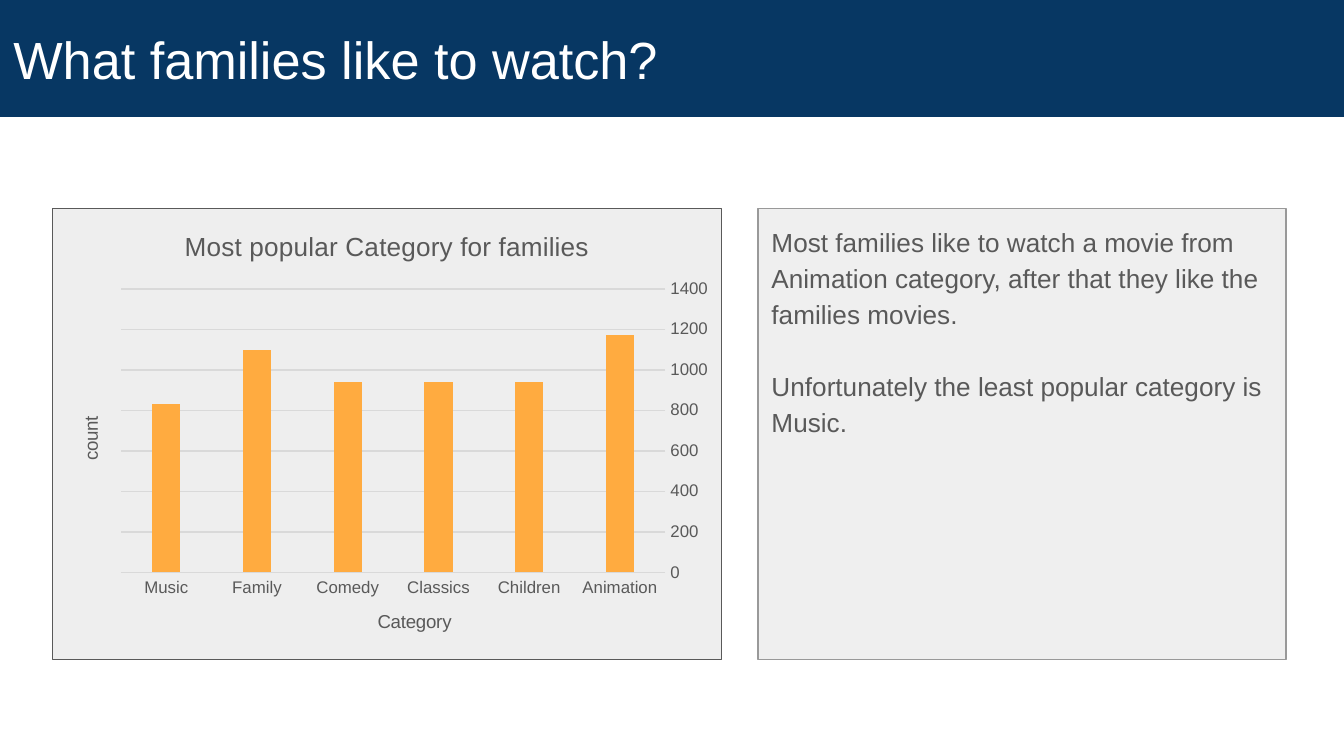
from lxml import etree
from pptx import Presentation
from pptx.chart.data import CategoryChartData
from pptx.dml.color import RGBColor
from pptx.enum.chart import XL_CHART_TYPE, XL_TICK_MARK
from pptx.enum.shapes import MSO_SHAPE
from pptx.enum.text import MSO_ANCHOR, MSO_AUTO_SIZE, PP_ALIGN
from pptx.oxml.ns import qn
from pptx.util import Inches, Pt

COLUMNS = XL_CHART_TYPE.COLUMN_CLUSTERED
NO_TICK = XL_TICK_MARK.NONE
RECTANGLE = MSO_SHAPE.RECTANGLE
TOP, MIDDLE = MSO_ANCHOR.TOP, MSO_ANCHOR.MIDDLE
NO_FIT = MSO_AUTO_SIZE.NONE
LEFT = PP_ALIGN.LEFT

FONT = "Arial"
COLORS = {
    "navy": "073763", "white": "FFFFFF", "text": "595959", "chart_panel": "EEEEEE",
    "text_panel": "EFEFEF", "border": "999999", "grid": "D9D9D9", "bar": "FFAB40",
}
COUNTS = {
    "Animation": 1170, "Children": 940, "Classics": 940,
    "Comedy": 940, "Family": 1100, "Music": 830,
}
FINDINGS = [
    "Most families like to watch a movie from Animation category, "
    "after that they like the families movies.",
    "Unfortunately the least popular category is Music.",
]


def color(name):
    return RGBColor.from_string(COLORS[name])


def set_font(font, size, name="text"):
    font.name = FONT
    font.size = Pt(size)
    font.bold = False
    font.color.rgb = color(name)


def set_fill(shape, name):
    shape.fill.solid()
    shape.fill.fore_color.rgb = color(name)


def set_line(line, name):
    line.color.rgb = color(name)
    line.width = Pt(0.75)


def place(shape, box):
    shape.left, shape.top, shape.width, shape.height = map(Inches, box)


def set_frame(frame, anchor):
    frame.word_wrap = True
    frame.auto_size = NO_FIT
    frame.vertical_anchor = anchor
    frame.margin_left = frame.margin_right = Inches(0.1)
    frame.margin_top = frame.margin_bottom = Inches(0.1)


def add_header(page, box):
    title = page.shapes.title
    place(title, box)
    set_fill(title, "navy")
    set_frame(title.text_frame, MIDDLE)
    title.text_frame.text = "What families like to watch?"
    para = title.text_frame.paragraphs[0]
    para.alignment = LEFT
    set_font(para.font, 28, "white")


def add_findings(page, box):
    body = page.placeholders[1]
    place(body, box)
    set_fill(body, "text_panel")
    set_line(body.line, "border")
    frame = body.text_frame
    set_frame(frame, TOP)
    frame.text = "\n".join(FINDINGS)
    for index, para in enumerate(frame.paragraphs):
        para.alignment = LEFT
        para.line_spacing = 1.15
        para.space_before = Pt(19.3 if index else 0)
        para.space_after = Pt(0)
        set_font(para.font, 14)
        properties = para._p.get_or_add_pPr()
        properties.set("marL", "0")
        properties.set("indent", "0")
        bullet = etree.Element(qn("a:buNone"))
        properties.find(qn("a:defRPr")).addprevious(bullet)


def set_title(owner, text, size):
    frame = owner.text_frame
    frame.text = text
    set_font(frame.paragraphs[0].font, size)


def set_plot_area(chart, fractions):
    area = chart._chartSpace.find(".//" + qn("c:plotArea"))
    layout = area.find(qn("c:layout"))
    if layout is None:
        layout = etree.Element(qn("c:layout"))
        area.insert(0, layout)
    manual = etree.SubElement(layout, qn("c:manualLayout"))
    settings = {"layoutTarget": "inner", "xMode": "edge", "yMode": "edge", **fractions}
    for tag, value in settings.items():
        etree.SubElement(manual, qn("c:" + tag)).set("val", str(value))


def add_category_chart(page, box):
    panel = page.shapes.add_shape(RECTANGLE, *map(Inches, box))
    panel.shadow.inherit = False
    set_fill(panel, "chart_panel")
    set_line(panel.line, "text")

    data = CategoryChartData()
    data.categories = list(COUNTS)
    data.add_series("Series 1", list(COUNTS.values()))
    chart = page.shapes.add_chart(COLUMNS, *map(Inches, box), data).chart
    chart.font.name = FONT
    chart.font.size = Pt(10)
    chart.has_legend = False
    chart.has_title = True
    set_title(chart.chart_title, "Most popular Category for families", 14)
    width, height = box[2:]
    set_plot_area(chart, {
        "x": 0.51 / width, "y": 0.6 / height, "w": 4.05 / width, "h": 2.11 / height,
    })

    plot = chart.plots[0]
    plot.vary_by_categories = False
    plot.gap_width = 219
    plot.overlap = -27
    set_fill(plot.series[0].format, "bar")

    for axis, label in ((chart.category_axis, "Category"), (chart.value_axis, "count")):
        axis.major_tick_mark = axis.minor_tick_mark = NO_TICK
        set_font(axis.tick_labels.font, 9)
        set_title(axis.axis_title, label, 10)
    chart.category_axis.reverse_order = True
    set_line(chart.category_axis.format.line, "grid")
    values = chart.value_axis
    values.minimum_scale, values.maximum_scale, values.major_unit = 0, 1400, 200
    values.format.line.fill.background()
    set_line(values.major_gridlines.format.line, "grid")


def main():
    deck = Presentation()
    deck.slide_width = Inches(10)
    deck.slide_height = deck.slide_width * 9 // 16
    page = deck.slides.add_slide(deck.slide_layouts[1])
    add_header(page, (0, 0, 10, 0.87))
    add_findings(page, (5.64, 1.55, 3.93, 3.36))
    add_category_chart(page, (0.39, 1.55, 4.98, 3.36))
    deck.save("out.pptx")


if __name__ == "__main__":
    main()
